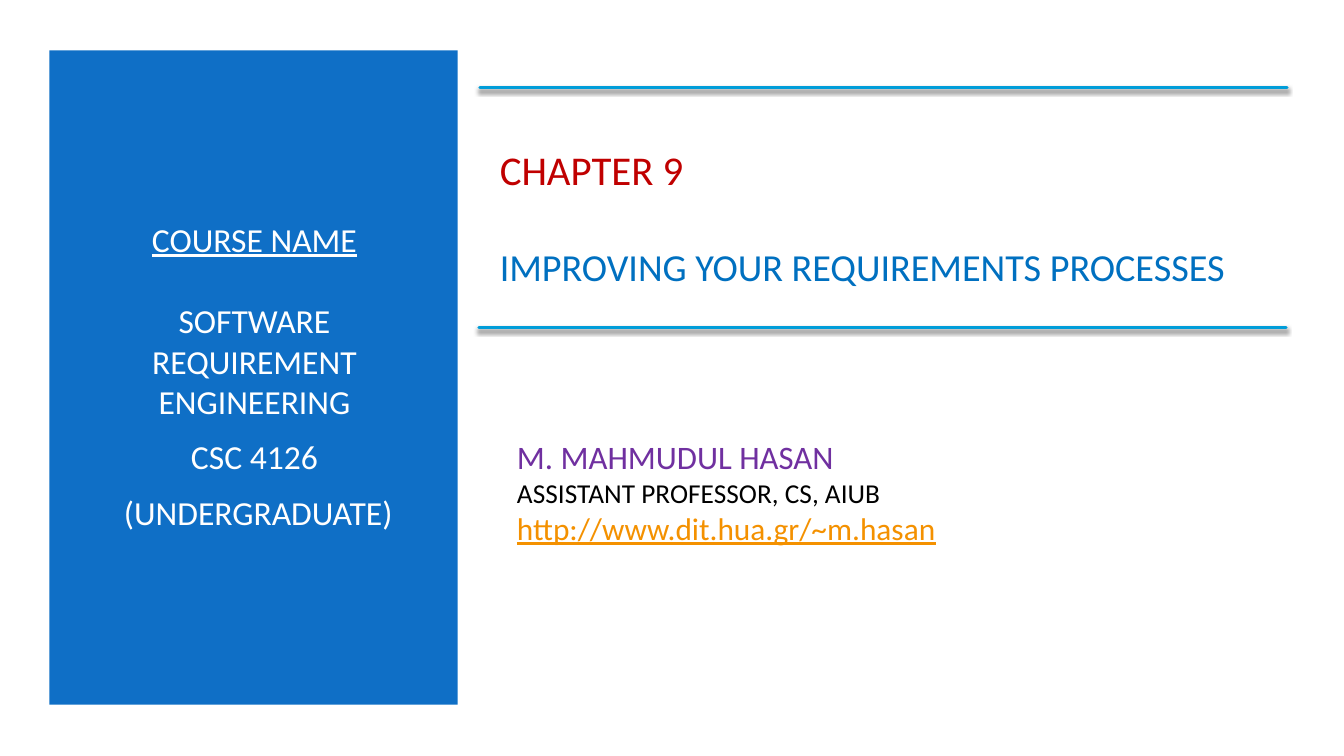
from lxml import etree
from pptx import Presentation
from pptx.dml.color import RGBColor
from pptx.enum import shapes, text
from pptx.oxml import ns
from pptx.util import Pt

COLORS = {"panel": "0F6FC6", "white": "FFFFFF", "chapter": "C00000",
          "title": "0070C0", "author": "7030A0", "black": "000000",
          "link": "F49100", "rule": "009DD9"}

prs = Presentation()
prs.slide_width, prs.slide_height = Pt(960), Pt(540)
s = prs.slides.add_slide(prs.slide_layouts[6])


def color(name):
    return RGBColor.from_string(COLORS[name])


def add_line(tf, words, size, fill, before=0, after=0, underline=False,
             align=text.PP_ALIGN.LEFT):
    p = tf.paragraphs[0]
    if p.runs:
        p = tf.add_paragraph()
    p.alignment = align
    p.space_before, p.space_after = Pt(before), Pt(after)
    r = p.add_run()
    r.text = words
    r.font.name, r.font.size, r.font.underline = "Calibri", Pt(size), underline
    r.font.color.rgb = color(fill)


# Course panel
panel = s.shapes.add_shape(shapes.MSO_SHAPE.RECTANGLE,
                           Pt(35.3), Pt(36), Pt(291.6), Pt(467.3))
panel.shadow.inherit = False
panel.fill.solid()
panel.fill.fore_color.rgb = color("panel")
panel.line.fill.background()

# Text boxes: position, then one format per line
centred = dict(size=24, fill="white", align=text.PP_ALIGN.CENTER)
boxes = [
    ((60.5, 79.2, 242.6, 378), [
        ("COURSE NAME", dict(centred, underline=True)),
        ("SOFTWARE REQUIREMENT ENGINEERING", dict(centred, before=29.3, after=6)),
        ("CSC 4126", dict(centred, before=4.8, after=6)),
        (" (UNDERGRADUATE)", dict(centred, before=4.8, after=6))]),
    ((349.9, 79.2, 579.6, 151.9), [
        ("CHAPTER 9", dict(size=29.2, fill="chapter")),
        ("IMPROVING YOUR REQUIREMENTS PROCESSES",
         dict(size=27.3, fill="title", before=35.5))]),
    ((362.2, 295.2, 479.5, 112.3), [
        ("M. MAHMUDUL HASAN", dict(size=23.4, fill="author")),
        ("ASSISTANT PROFESSOR, CS, AIUB", dict(size=19.5, fill="black")),
        ("http://www.dit.hua.gr/~m.hasan",
         dict(size=22.4, fill="link", underline=True))]),
]
for place, lines in boxes:
    tf = s.shapes.add_textbox(*map(Pt, place)).text_frame
    tf.word_wrap = True
    tf.vertical_anchor = text.MSO_ANCHOR.MIDDLE
    for words, style in lines:
        add_line(tf, words, **style)

# Rules above and below the title, with a soft shadow
for x, y in [(342.7, 62.6), (342, 234)]:
    rule = s.shapes.add_connector(shapes.MSO_CONNECTOR.STRAIGHT,
                                  Pt(x), Pt(y), Pt(x + 576.7), Pt(y))
    rule.line.color.rgb = color("rule")
    rule.line.width = Pt(2)
    rule.line._get_or_add_ln().set("cap", "rnd")
    effects = etree.SubElement(rule._element.spPr, ns.qn("a:effectLst"))
    shadow = etree.SubElement(effects, ns.qn("a:outerShdw"), blurRad=str(Pt(3)),
                              dist=str(Pt(2)), dir="5400000", rotWithShape="0")
    tint = etree.SubElement(shadow, ns.qn("a:srgbClr"), val=COLORS["black"])
    etree.SubElement(tint, ns.qn("a:alpha"), val="55000")

prs.save("out.pptx")
